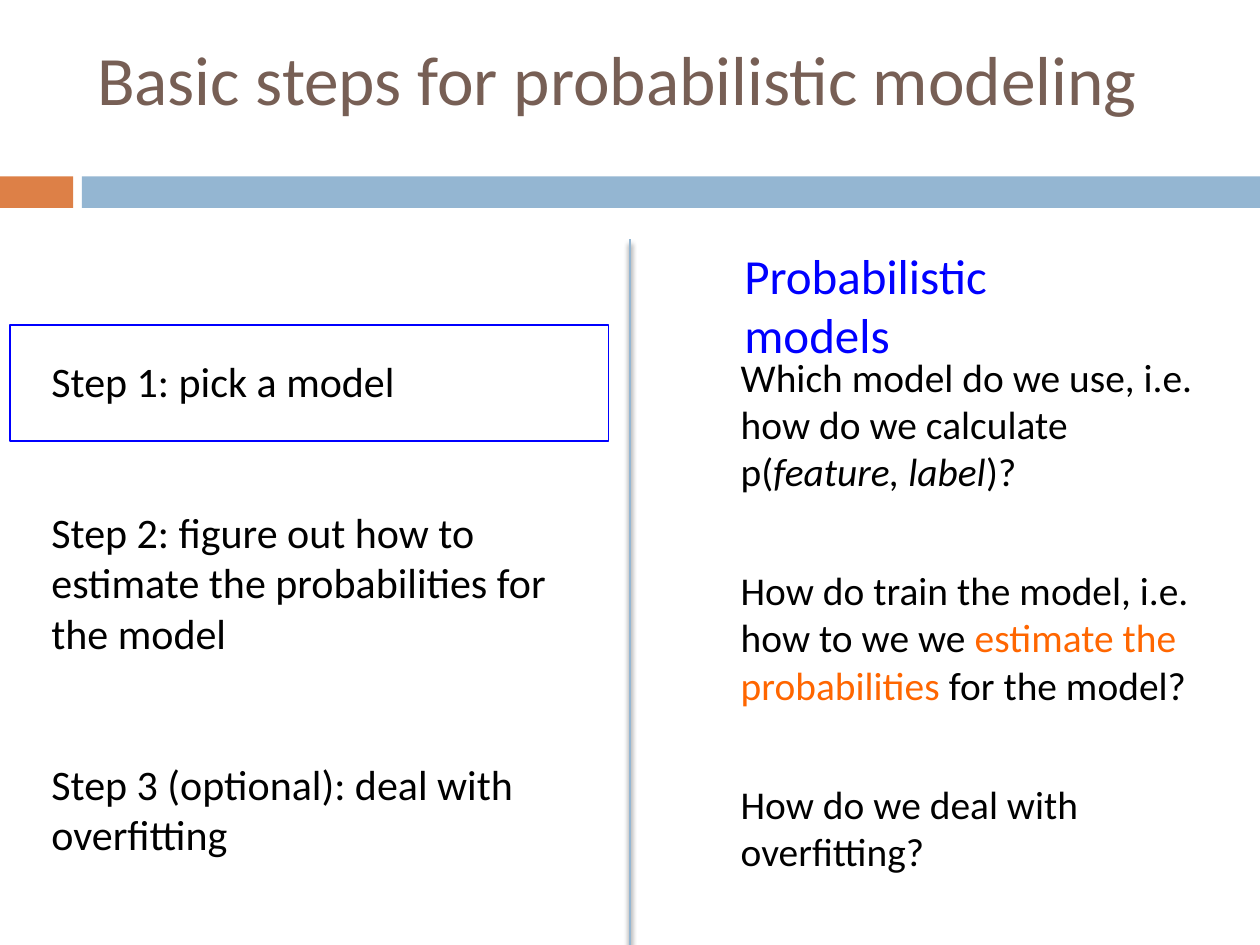
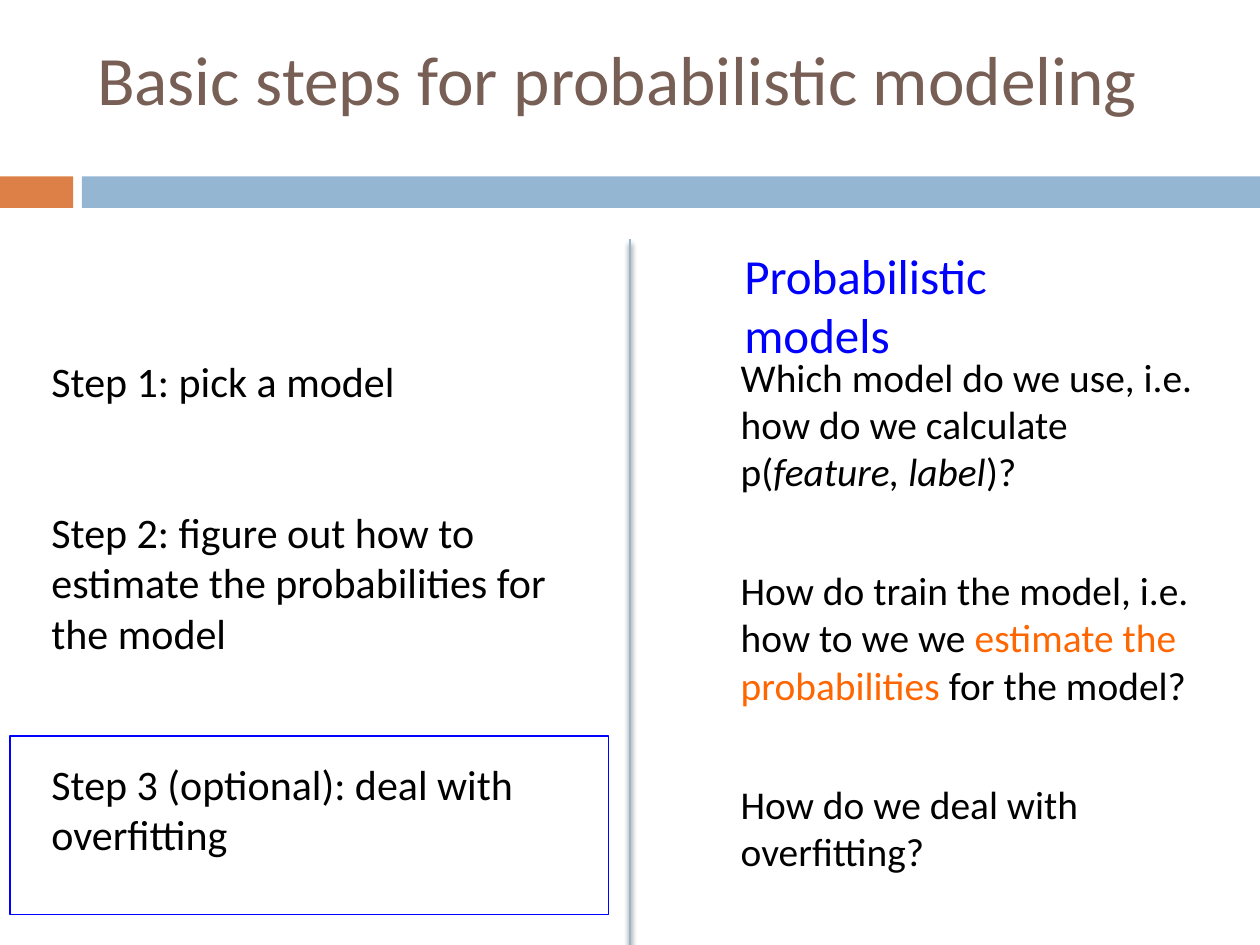
from dataclasses import dataclass

from lxml.etree import SubElement
from pptx import Presentation
from pptx.dml.color import RGBColor
from pptx.enum.shapes import MSO_CONNECTOR, MSO_SHAPE
from pptx.enum.text import MSO_ANCHOR, PP_ALIGN
from pptx.oxml.ns import qn
from pptx.util import Inches, Pt

FONT = "Calibri"
COLORS = {
    "title": "775F55",
    "text": "000000",
    "heading": "0000FF",
    "emphasis": "FF6600",
    "accent": "DD8047",
    "band": "94B6D2",
    "frame": "0000FF",
    "shadow": "000000",
}


@dataclass(frozen=True)
class Box:
    left: float
    top: float
    width: float
    height: float

    def emu(self) -> tuple:
        return tuple(Inches(v) for v in (self.left, self.top, self.width, self.height))


@dataclass(frozen=True)
class Run:
    text: str
    color: str = "text"
    italic: bool = False


@dataclass(frozen=True)
class TextBlock:
    box: Box
    size: float
    gap: float  # points between paragraphs
    paragraphs: tuple[tuple[Run, ...], ...]


TITLE = TextBlock(Box(0.67, 0.08, 8.92, 1.08), 39.6, 0, (
    (Run("Basic steps for probabilistic modeling", "title"),),
))
QUESTIONS = TextBlock(Box(5.78, 2.75, 3.79, 4.5), 22.5, 41, (
    (Run("Which model do we use, i.e. how do we calculate p("),
     Run("feature, label", italic=True),
     Run(")?")),
    (Run("How do train the model, i.e. how to we we "),
     Run("estimate the probabilities", "emphasis"),
     Run(" for the model?")),
    (Run("How do we deal with overfitting?"),),
))
HEADING = TextBlock(Box(5.81, 1.9, 3.3, 0.57), 28, 0, (
    (Run("Probabilistic models", "heading"),),
))
STEPS = TextBlock(Box(0.31, 2.77, 4.3, 4.14), 24, 57.6, (
    (Run("Step 1: pick a model"),),
    (Run("Step 2: figure out how to estimate the probabilities for the model"),),
    (Run("Step 3 (optional): deal with overfitting"),),
))
BANDS = (
    (Box(0, 1.4, 0.58, 0.25), "accent"),
    (Box(0.65, 1.4, 9.35, 0.25), "band"),
)
STEP_FRAMES = (Box(0.08, 2.58, 4.75, 0.92), Box(0.08, 5.84, 4.75, 1.42))


def rgb(name: str) -> RGBColor:
    return RGBColor.from_string(COLORS[name])


def fill_text(tf, block: TextBlock) -> None:
    tf.word_wrap = True
    for i, runs in enumerate(block.paragraphs):
        p = tf.add_paragraph() if i else tf.paragraphs[0]
        p.alignment = PP_ALIGN.LEFT
        p.space_before = Pt(block.gap if i else 0)
        for run in runs:
            r = p.add_run()
            r.text = run.text
            r.font.name = FONT
            r.font.size = Pt(block.size)
            r.font.italic = run.italic
            r.font.color.rgb = rgb(run.color)


def add_title(s) -> None:
    sp = s.shapes.title
    sp.left, sp.top, sp.width, sp.height = TITLE.box.emu()
    sp.text_frame.vertical_anchor = MSO_ANCHOR.MIDDLE
    fill_text(sp.text_frame, TITLE)


def add_text(s, block: TextBlock) -> None:
    fill_text(s.shapes.add_textbox(*block.box.emu()).text_frame, block)


def add_rect(s, box: Box):
    sp = s.shapes.add_shape(MSO_SHAPE.RECTANGLE, *box.emu())
    sp.shadow.inherit = False
    return sp


def add_band(s, box: Box, color: str) -> None:
    sp = add_rect(s, box)
    sp.fill.solid()
    sp.fill.fore_color.rgb = rgb(color)
    sp.line.fill.background()


def add_frame(s, box: Box) -> None:
    sp = add_rect(s, box)
    sp.fill.background()
    sp.line.color.rgb = rgb("frame")
    sp.line.width = Pt(0.79)


def add_divider(s) -> None:
    """Vertical line between the columns, with a soft downward shadow."""
    line = s.shapes.add_connector(
        MSO_CONNECTOR.STRAIGHT, Inches(5), Inches(1.9), Inches(5), Inches(7.5))
    line.line.color.rgb = rgb("band")
    line.line.width = Pt(1.5)
    effects = SubElement(line._element.spPr, qn("a:effectLst"))
    shadow = SubElement(effects, qn("a:outerShdw"), blurRad=str(Pt(3)),
                        dist=str(Pt(2.4)), dir="5400000", rotWithShape="0")
    color = SubElement(shadow, qn("a:srgbClr"), val=COLORS["shadow"])
    SubElement(color, qn("a:alpha"), val="45000")


def add_steps_slide(prs, frame: Box) -> None:
    s = prs.slides.add_slide(prs.slide_layouts.get_by_name("Title Only"))
    for box, color in BANDS:
        add_band(s, box, color)
    add_title(s)
    add_text(s, QUESTIONS)
    add_text(s, HEADING)
    add_divider(s)
    add_text(s, STEPS)
    add_frame(s, frame)


def main() -> None:
    prs = Presentation()
    prs.slide_width, prs.slide_height = Inches(10), Inches(7.5)
    for frame in STEP_FRAMES:
        add_steps_slide(prs, frame)
    prs.save("out.pptx")


if __name__ == "__main__":
    main()
